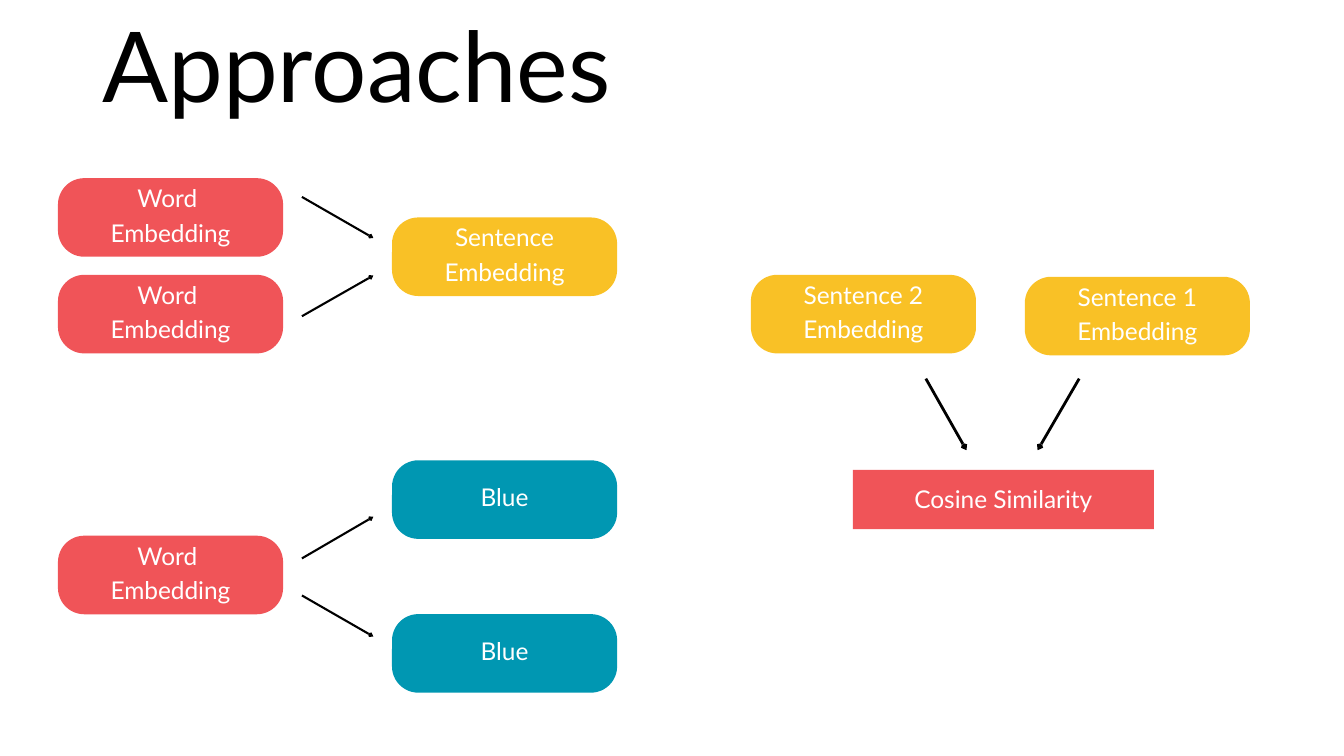
"""Build the "Approaches" slide: word and sentence embedding diagrams."""
from dataclasses import dataclass

from lxml import etree
from pptx import Presentation
from pptx.dml.color import RGBColor
from pptx.enum.shapes import MSO_CONNECTOR, MSO_SHAPE
from pptx.enum.text import MSO_ANCHOR, MSO_AUTO_SIZE, PP_ALIGN
from pptx.oxml.ns import qn
from pptx.util import Pt

ROUNDED = MSO_SHAPE.ROUNDED_RECTANGLE
RECTANGLE = MSO_SHAPE.RECTANGLE
STRAIGHT = MSO_CONNECTOR.STRAIGHT
CENTER = PP_ALIGN.CENTER
TOP, MIDDLE = MSO_ANCHOR.TOP, MSO_ANCHOR.MIDDLE
FIXED_SIZE = MSO_AUTO_SIZE.NONE
TITLE_ONLY = 5


@dataclass(frozen=True)
class Theme:
    font: str = "Lato"
    red: RGBColor = RGBColor(0xF0, 0x54, 0x58)
    yellow: RGBColor = RGBColor(0xF9, 0xC1, 0x26)
    blue: RGBColor = RGBColor(0x00, 0x97, 0xB2)
    black: RGBColor = RGBColor(0, 0, 0)
    white: RGBColor = RGBColor(255, 255, 255)
    title_size: float = 104.7
    title_leading: float = 146.6
    label_size: float = 26.2
    label_leading: float = 36.8


class SlideBuilder:
    def __init__(self, slide, theme):
        self.slide = slide
        self.theme = theme

    def set_text(self, shape, text, size, leading, color, anchor, bottom=0):
        frame = shape.text_frame
        frame.text = text
        frame.word_wrap = True
        frame.auto_size = FIXED_SIZE
        frame.vertical_anchor = anchor
        frame.margin_left = frame.margin_right = frame.margin_top = 0
        frame.margin_bottom = Pt(bottom)
        for paragraph in frame.paragraphs:
            paragraph.alignment = CENTER
            paragraph.line_spacing = Pt(leading)
            paragraph.font.name = self.theme.font
            paragraph.font.size = Pt(size)
            paragraph.font.color.rgb = color

    def title(self, text, left, top, width, height):
        shape = self.slide.shapes.title
        shape.left, shape.top = Pt(left), Pt(top)
        shape.width, shape.height = Pt(width), Pt(height)
        theme = self.theme
        self.set_text(shape, text, theme.title_size, theme.title_leading, theme.black, TOP)

    def box(self, text, left, top, fill, width=241.2, height=84.2, kind=ROUNDED, lift=10.4):
        shape = self.slide.shapes.add_shape(kind, Pt(left), Pt(top), Pt(width), Pt(height))
        shape.shadow.inherit = False
        shape.fill.solid()
        shape.fill.fore_color.rgb = fill
        shape.line.fill.background()
        if kind == ROUNDED:
            shape.adjustments[0] = 0.335
        theme = self.theme
        self.set_text(shape, text, theme.label_size, theme.label_leading, theme.white, MIDDLE, lift)

    def arrow(self, start, end, weight=2.25):
        points = [Pt(value) for value in (*start, *end)]
        connector = self.slide.shapes.add_connector(STRAIGHT, *points)
        connector.line.color.rgb = self.theme.black
        connector.line.width = Pt(weight)
        properties = connector._element.spPr
        line = properties.find(qn("a:ln"))
        etree.SubElement(line, qn("a:tailEnd"), type="arrow", w="sm", len="sm")
        etree.SubElement(properties, qn("a:effectLst"))


def main():
    presentation = Presentation()
    presentation.slide_width, presentation.slide_height = Pt(1440), Pt(810)
    slide = presentation.slides.add_slide(presentation.slide_layouts[TITLE_ONLY])
    theme = Theme()
    builder = SlideBuilder(slide, theme)
    builder.title("Approaches", 0, -15.8, 764.6, 141)

    word_left, result_left = 62.1, 420
    for top in (190.9, 294.5, 574):
        builder.box("Word \nEmbedding", word_left, top, theme.red)
    builder.box("Sentence\nEmbedding", result_left, 233, theme.yellow)
    for top in (493.2, 658):
        builder.box("Blue", result_left, top, theme.blue)
    for start_y, end_y in ((211, 255), (338.8, 295.2), (598.3, 553.7), (638, 682)):
        builder.arrow((323.5, start_y), (400, end_y))

    builder.box("Sentence 1\nEmbedding", 1098, 296.6, theme.yellow)
    builder.box("Sentence 2\nEmbedding", 804.5, 294.5, theme.yellow)
    for start_x, end_x in ((1156.3, 1111.7), (992, 1035.5)):
        builder.arrow((start_x, 405.7), (end_x, 482.4), 3)
    builder.box("Cosine Similarity", 913.7, 503.5, theme.red, 322.6, 63.4, RECTANGLE, 7.2)

    presentation.save("out.pptx")


if __name__ == "__main__":
    main()
